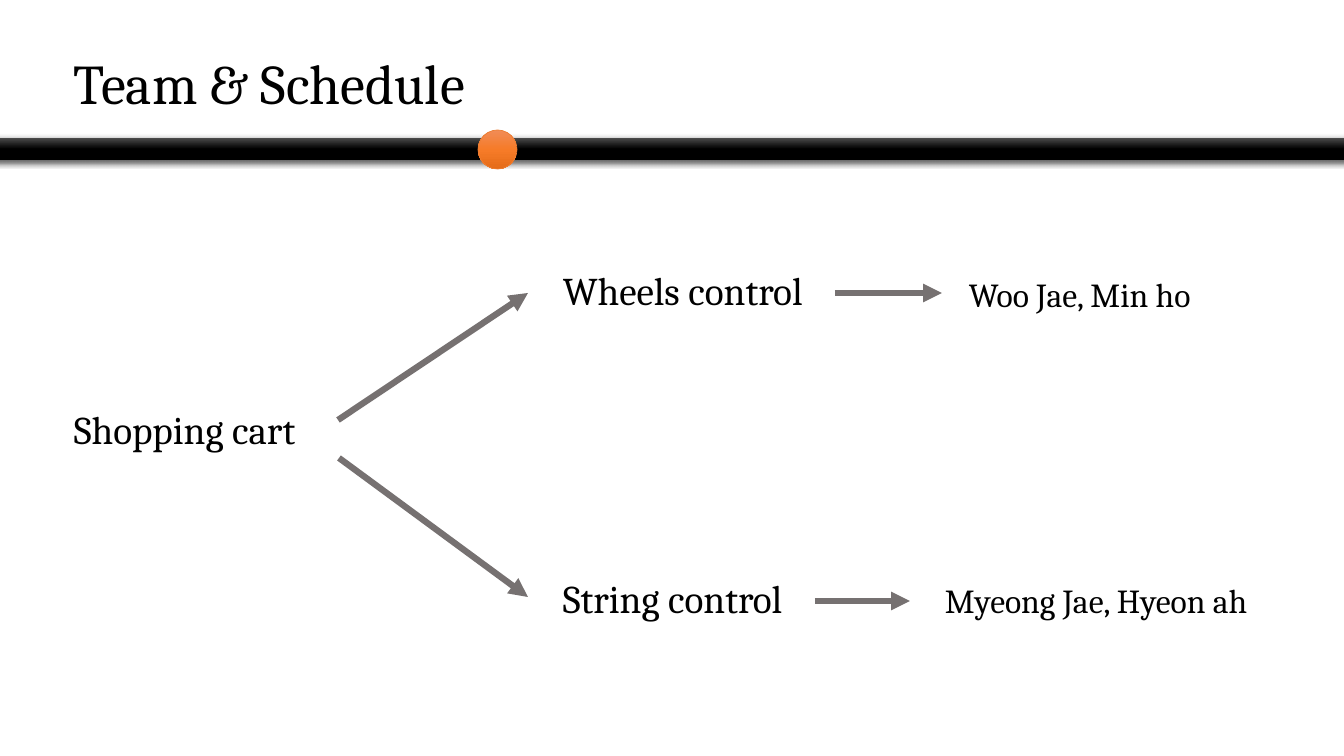
"""Build the Team & Schedule slide."""
from copy import deepcopy

from pptx import Presentation
from pptx.dml.color import RGBColor
from pptx.enum.shapes import MSO_CONNECTOR, MSO_SHAPE
from pptx.enum.text import MSO_AUTO_SIZE
from pptx.oxml.ns import qn
from pptx.util import Emu, Pt
from lxml import etree

STRAIGHT = MSO_CONNECTOR.STRAIGHT
ROUNDED = MSO_SHAPE.ROUNDED_RECTANGLE
OVAL = MSO_SHAPE.OVAL
GROW = MSO_AUTO_SIZE.SHAPE_TO_FIT_TEXT

EMU_PER_PX = 914400 / 100.8
FONT = "Cambria"
COLORS = {
    "text": "000000",
    "arrow": "767171",
    "shadow": "000000",
    "bar_top": "4B4B4B",
    "bar": "000000",
    "dot_top": "F18C57",
    "dot_mid": "F67B28",
    "dot_bottom": "E56C19",
    "dot_line": "ED7D31",
}


def px(n):
    """Turn pixels into EMU."""
    return Emu(round(n * EMU_PER_PX))


def rgb(name):
    """Look up a named colour."""
    return RGBColor.from_string(COLORS[name])


def add_label(s, text, x, y, w, h, size):
    """Add a one-line text box."""
    tf = s.shapes.add_textbox(px(x), px(y), px(w), px(h)).text_frame
    tf.word_wrap = True
    tf.auto_size = GROW
    r = tf.paragraphs[0].add_run()
    r.text = text
    r.font.name = FONT
    r.font.size = Pt(size)
    r.font.color.rgb = rgb("text")


def add_gradient_shape(s, kind, x, y, w, h, names):
    """Add a shape filled from top to bottom with three colours."""
    sp = s.shapes.add_shape(kind, px(x), px(y), px(w), px(h))
    sp.shadow.inherit = False
    sp.line.fill.background()
    sp.fill.gradient()
    sp.fill.gradient_angle = 270
    stop_list = sp._element.spPr.find(".//" + qn("a:gsLst"))
    stop_list.append(deepcopy(stop_list[0]))
    for i, (stop, name) in enumerate(zip(sp.fill.gradient_stops, names)):
        stop.position = i / 2
        stop.color.rgb = rgb(name)
    return sp


def add_shadow(sp):
    """Cast a soft shadow below a shape."""
    effects = sp._element.spPr.find(qn("a:effectLst"))
    shadow = etree.SubElement(effects, qn("a:outerShdw"), blurRad=str(Pt(4.5)),
                              dist=str(Pt(1.5)), dir="5400000", rotWithShape="0")
    color = etree.SubElement(shadow, qn("a:srgbClr"), val=COLORS["shadow"])
    etree.SubElement(color, qn("a:alpha"), val="63000")


def add_arrow(s, x1, y1, x2, y2):
    """Add a thick straight arrow."""
    cxn = s.shapes.add_connector(STRAIGHT, px(x1), px(y1), px(x2), px(y2))
    cxn.line.color.rgb = rgb("arrow")
    cxn.line.width = Pt(4.5)
    etree.SubElement(cxn.line._get_or_add_ln(), qn("a:tailEnd"), type="triangle")
    etree.SubElement(cxn._element.spPr, qn("a:effectLst"))


def main():
    """Build and save the slide."""
    prs = Presentation()
    prs.slide_width, prs.slide_height = px(1344), px(756)
    s = prs.slides.add_slide(prs.slide_layouts[6])

    add_label(s, "Team & Schedule", 64, 44, 488, 78, 40)
    bar = add_gradient_shape(s, ROUNDED, -75, 138, 1624, 22, ("bar_top", "bar", "bar"))
    add_shadow(bar)
    dot = add_gradient_shape(s, OVAL, 478, 130, 39, 39,
                             ("dot_top", "dot_mid", "dot_bottom"))
    dot.line.color.rgb = rgb("dot_line")
    dot.line.width = Pt(0.5)

    add_label(s, "Shopping cart", 64, 400, 275, 57, 28)
    add_arrow(s, 338, 420, 528, 293)
    add_arrow(s, 339, 458, 528, 597)

    add_label(s, "Wheels control", 553, 261, 357, 57, 28)
    add_arrow(s, 835, 293, 942, 293)
    add_label(s, "Woo Jae, Min ho", 959, 269, 302, 50, 24)

    add_label(s, "String control", 553, 569, 357, 57, 28)
    add_arrow(s, 815, 601, 910, 601)
    add_label(s, "Myeong Jae, Hyeon ah", 935, 575, 357, 50, 24)

    prs.save("out.pptx")


if __name__ == "__main__":
    main()
